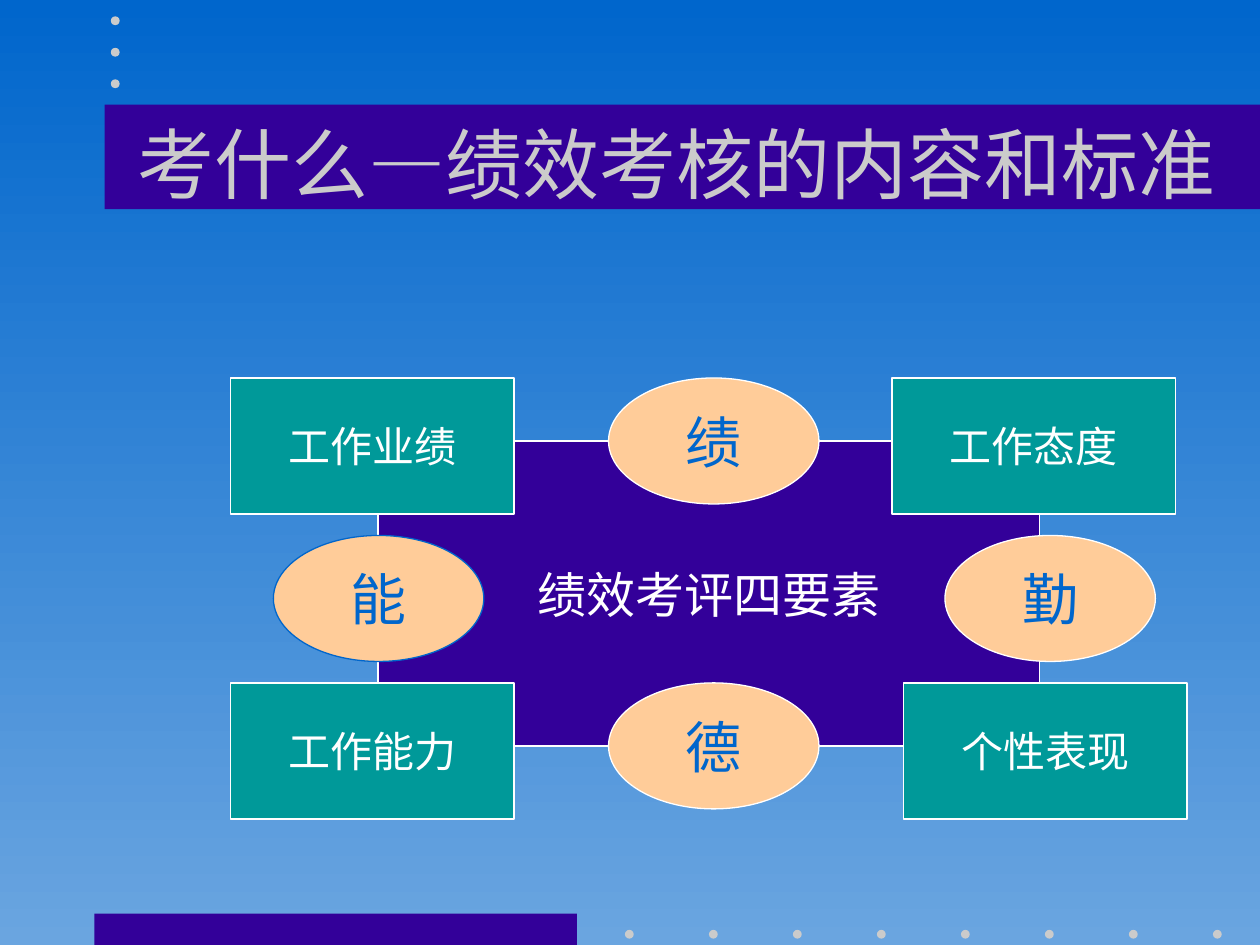
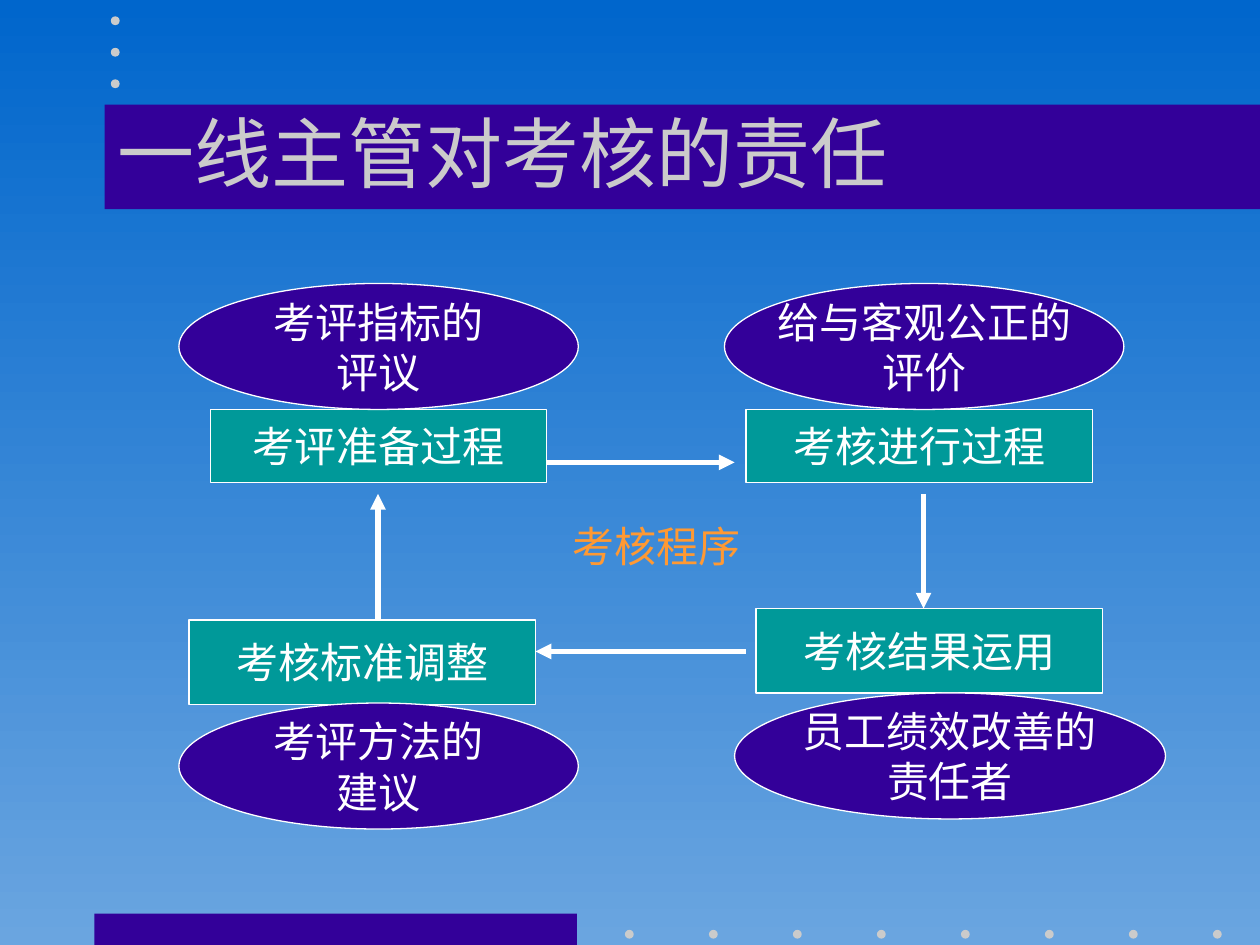
from dataclasses import dataclass

from lxml import etree
from pptx import Presentation
from pptx.dml.color import RGBColor
from pptx.enum.shapes import MSO_CONNECTOR, MSO_SHAPE
from pptx.enum.text import MSO_ANCHOR, MSO_AUTO_SIZE, PP_ALIGN
from pptx.oxml.ns import qn
from pptx.util import Inches, Pt

RECTANGLE, OVAL = MSO_SHAPE.RECTANGLE, MSO_SHAPE.OVAL
STRAIGHT = MSO_CONNECTOR.STRAIGHT
LEFT, CENTER = PP_ALIGN.LEFT, PP_ALIGN.CENTER
MIDDLE = MSO_ANCHOR.MIDDLE
NO_AUTOFIT = MSO_AUTO_SIZE.NONE
TITLE_ONLY_LAYOUT = 5


@dataclass(frozen=True)
class Theme:
    font: str = "Times New Roman"
    sky_top: str = "0066CC"
    sky_bottom: str = "6AA5E0"
    band: str = "330099"
    box: str = "009999"
    peach: str = "FFCC99"
    accent: str = "FF9933"
    white: str = "FFFFFF"
    grey: str = "CBCBCB"
    title_size: int = 44
    element_size: int = 32
    center_size: int = 28
    text_size: int = 24
    outline: float = 0.75
    arrow: float = 3


def rgb(color):
    return RGBColor.from_string(color)


class Deck:
    def __init__(self, theme):
        self.theme = theme
        self.presentation = Presentation()
        self.presentation.slide_width = Inches(10)
        self.presentation.slide_height = Inches(7.5)
        self.slide = None
        self.paint_background()

    def paint_background(self):
        fill = self.presentation.slide_master.background.fill
        fill.gradient()
        fill.gradient_angle = 270
        for stop, position, color in zip(
            fill.gradient_stops, (0, 1), (self.theme.sky_top, self.theme.sky_bottom)
        ):
            stop.position = position
            stop.color.rgb = rgb(color)

    def add_slide(self, title, left, top, width, alignment):
        layout = self.presentation.slide_layouts[TITLE_ONLY_LAYOUT]
        self.slide = self.presentation.slides.add_slide(layout)
        self.decorate()
        shape = self.slide.shapes.title
        shape.left, shape.top = Inches(left), Inches(top)
        shape.width, shape.height = Inches(width), Inches(1.25)
        self.set_text(shape, title, self.theme.title_size, self.theme.grey, alignment, True)
        # The title must stand in front of its band.
        shape.element.getparent().append(shape.element)

    def decorate(self):
        """Draw the bands and dotted rows every slide carries."""
        self.shape(RECTANGLE, 0.75, 7.25, 3.83, 0.25, self.theme.band)
        self.shape(RECTANGLE, 0.83, 0.83, 9.17, 0.83, self.theme.band)
        footer_dots = [(4.96 + index * 2 / 3, 7.38) for index in range(8)]
        corner_dots = [(0.88, 0.13 + index * 0.25) for index in range(3)]
        for left, top in footer_dots + corner_dots:
            self.shape(OVAL, left, top, 0.07, 0.07, self.theme.grey)

    def set_text(self, shape, text, size, color, alignment=CENTER, wrap=False):
        frame = shape.text_frame
        frame.text = text
        frame.word_wrap = wrap
        frame.auto_size = NO_AUTOFIT
        frame.vertical_anchor = MIDDLE
        for paragraph in frame.paragraphs:
            paragraph.alignment = alignment
            for run in paragraph.runs:
                run.font.name = self.theme.font
                run.font.size = Pt(size)
                run.font.color.rgb = rgb(color)

    def shape(self, kind, left, top, width, height, fill, outline=None):
        shape = self.slide.shapes.add_shape(
            kind, Inches(left), Inches(top), Inches(width), Inches(height)
        )
        shape.shadow.inherit = False
        shape.fill.solid()
        shape.fill.fore_color.rgb = rgb(fill)
        if outline:
            shape.line.color.rgb = rgb(outline)
            shape.line.width = Pt(self.theme.outline)
        else:
            shape.line.fill.background()
        return shape

    def box(self, text, left, top, width, height):
        shape = self.shape(
            RECTANGLE, left, top, width, height, self.theme.box, self.theme.white
        )
        self.set_text(shape, text, self.theme.text_size, self.theme.white)

    def center_panel(self, text, left, top, width, height):
        shape = self.shape(
            RECTANGLE, left, top, width, height, self.theme.band, self.theme.white
        )
        self.set_text(shape, text, self.theme.center_size, self.theme.white)

    def element_oval(self, text, left, top, outline):
        shape = self.shape(OVAL, left, top, 1.67, 1, self.theme.peach, outline)
        self.set_text(shape, text, self.theme.element_size, self.theme.sky_top)

    def duty_oval(self, text, left, top, width):
        shape = self.shape(OVAL, left, top, width, 1, self.theme.band, self.theme.white)
        self.set_text(shape, text, self.theme.text_size, self.theme.white)

    def label(self, text, left, top, width, height):
        shape = self.slide.shapes.add_textbox(
            Inches(left), Inches(top), Inches(width), Inches(height)
        )
        self.set_text(shape, text, self.theme.text_size, self.theme.accent)

    def arrow(self, *ends):
        connector = self.slide.shapes.add_connector(STRAIGHT, *map(Inches, ends))
        connector.line.color.rgb = rgb(self.theme.white)
        connector.line.width = Pt(self.theme.arrow)
        properties = connector.element.spPr
        etree.SubElement(properties.find(qn("a:ln")), qn("a:tailEnd"), type="triangle")
        etree.SubElement(properties, qn("a:effectLst"))


def add_content_slide(deck):
    theme = deck.theme
    deck.add_slide("考什么—绩效考核的内容和标准", 0.75, 0.67, 9.25, CENTER)
    deck.center_panel("绩效考评四要素", 3, 3.5, 5.25, 2.42)
    for text, left, top in (
        ("工作业绩", 1.83, 3),
        ("工作态度", 7.08, 3),
        ("工作能力", 1.83, 5.42),
        ("个性表现", 7.17, 5.42),
    ):
        deck.box(text, left, top, 2.25, 1.08)
    for text, left, top, outline in (
        ("绩", 4.83, 3, theme.white),
        ("勤", 7.5, 4.25, theme.white),
        ("德", 4.83, 5.42, theme.white),
        ("能", 2.17, 4.25, theme.sky_top),
    ):
        deck.element_oval(text, left, top, outline)


def add_duty_slide(deck):
    deck.add_slide("一线主管对考核的责任", 0.83, 0.58, 7.75, LEFT)
    for step in (
        ("考评准备过程", 1.67, 3.25, 2.67, 0.58),
        ("考核进行过程", 5.92, 3.25, 2.75, 0.58),
        ("考核结果运用", 6, 4.83, 2.75, 0.67),
        ("考核标准调整", 1.5, 4.92, 2.75, 0.67),
    ):
        deck.box(*step)
    for ends in (
        (4.33, 3.67, 5.83, 3.67),
        (7.33, 3.92, 7.33, 4.83),
        (5.92, 5.17, 4.25, 5.17),
        (3, 4.92, 3, 3.92),
    ):
        deck.arrow(*ends)
    deck.label("考核程序", 4.25, 4.08, 1.92, 0.5)
    for duty in (
        ("考评指标的\n评议", 1.42, 2.25, 3.17),
        ("给与客观公正的\n评价", 5.75, 2.25, 3.17),
        ("员工绩效改善的\n责任者", 5.83, 5.5, 3.42),
        ("考评方法的\n建议", 1.42, 5.58, 3.17),
    ):
        deck.duty_oval(*duty)


def main():
    deck = Deck(Theme())
    add_content_slide(deck)
    add_duty_slide(deck)
    deck.presentation.save("out.pptx")


if __name__ == "__main__":
    main()
